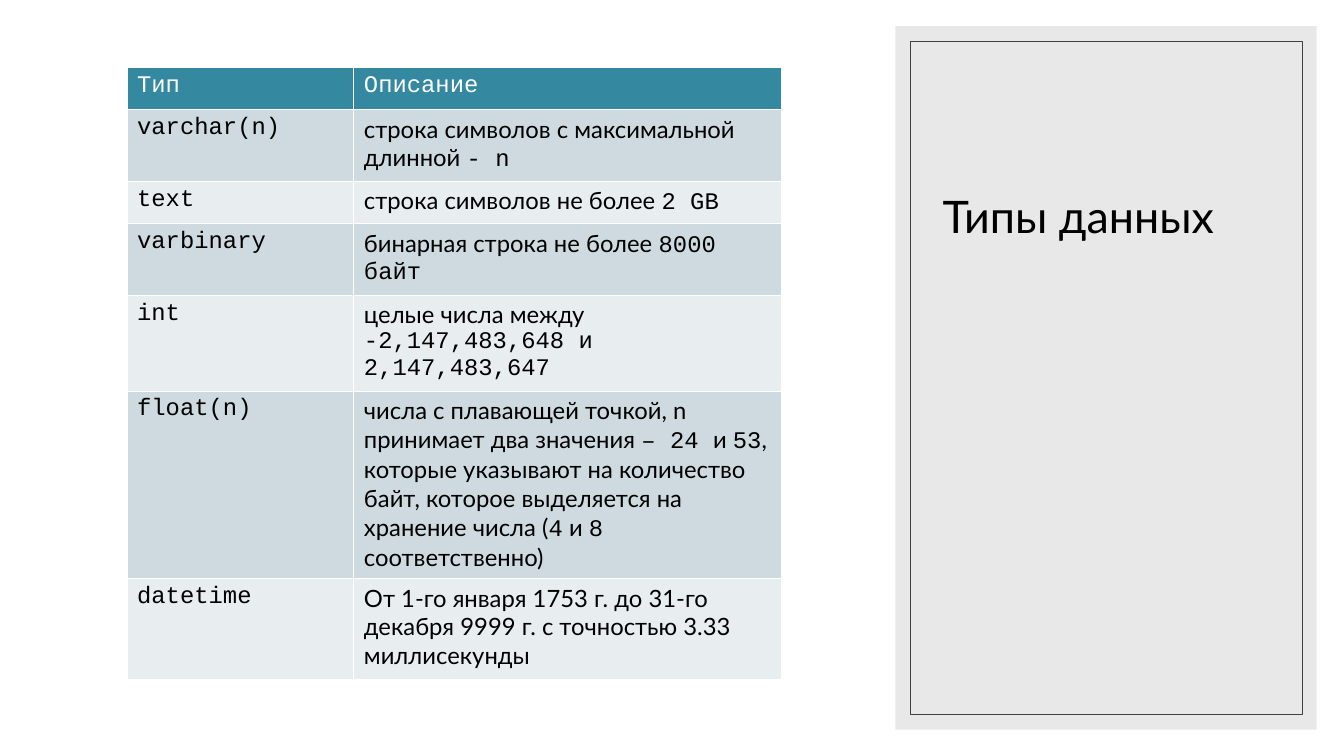
from dataclasses import dataclass

from lxml.etree import SubElement
from pptx import Presentation
from pptx.dml.color import RGBColor
from pptx.enum.shapes import MSO_SHAPE
from pptx.enum.text import MSO_ANCHOR
from pptx.oxml.ns import qn
from pptx.shapes.autoshape import Shape
from pptx.slide import Slide
from pptx.table import _Cell
from pptx.text.text import _Paragraph
from pptx.util import Emu, Pt

EMU_PER_PX = 9144
SANS = "Lato"
MONO = "Courier New"
BLACK = "000000"
WHITE = "FFFFFF"
HEADER_FILL = "3488A0"
BAND_FILLS = ("CEDADF", "E8EDF0")
COLUMN_WIDTHS = (225, 424)


@dataclass(frozen=True)
class Span:
    text: str
    font: str = SANS


@dataclass(frozen=True)
class TypeRow:
    name: str
    description: tuple[tuple[Span, ...], ...]
    height: int


@dataclass(frozen=True)
class Frame:
    left: int
    top: int
    width: int
    height: int


ROWS = (
    TypeRow("Тип", ((Span("Описание", MONO),),), 42),
    TypeRow("varchar(n)", ((Span("строка символов с максимальной длинной "),
                            Span("- n", MONO)),), 71),
    TypeRow("text", ((Span("строка символов не более "), Span("2 GB", MONO)),), 42),
    TypeRow("varbinary", ((Span("бинарная строка не более "),
                           Span("8000 байт", MONO)),), 71),
    TypeRow("int", ((Span("целые числа между"),),
                    (Span("-2,147,483,648 и 2,147,483,647", MONO),)), 71),
    TypeRow("float(n)", ((
        Span("числа с плавающей точкой, n принимает два значения "),
        Span("– 24 ", MONO),
        Span("и "),
        Span("53", MONO),
        Span(", которые указывают на количество байт, "
             "которое выделяется на хранение числа ("),
        Span("4", MONO),
        Span(" и "),
        Span("8", MONO),
        Span(" соответственно)"),
    ),), 186),
    TypeRow("datetime", ((Span("От 1-го января 1753 г. до 31-го декабря 9999 г. "
                               "с точностью 3.33 миллисекунды"),),), 100),
)
PANEL = Frame(888, 26, 418, 698)
PANEL_BORDER = Frame(903, 41, 389, 668)
TITLE = Frame(925, 66, 346, 180)
TABLE = Frame(126, 67, sum(COLUMN_WIDTHS), sum(row.height for row in ROWS))


def px(length: int) -> Emu:
    """Turn pixels into EMU."""
    return Emu(length * EMU_PER_PX)


def color(value: str) -> RGBColor:
    """Turn a hex string into a colour."""
    return RGBColor.from_string(value)


def place(frame: Frame) -> tuple[Emu, Emu, Emu, Emu]:
    """Give the position and size of a frame in EMU."""
    return px(frame.left), px(frame.top), px(frame.width), px(frame.height)


def add_span(para: _Paragraph, span: Span, size: int, ink: str) -> None:
    """Append one formatted run to a paragraph."""
    run = para.add_run()
    run.text = span.text
    run.font.name = span.font
    run.font.size = Pt(size)
    run.font.bold = False
    run.font.color.rgb = color(ink)


def add_rectangle(page: Slide, frame: Frame) -> Shape:
    """Add a rectangle without a shadow."""
    box = page.shapes.add_shape(MSO_SHAPE.RECTANGLE, *place(frame))
    box.shadow.inherit = False
    return box


def add_title_panel(page: Slide) -> None:
    """Draw the side panel with its thin border and title."""
    panel = add_rectangle(page, PANEL)
    panel.fill.solid()
    panel.fill.fore_color.rgb = color("D9D9D9")
    panel.line.fill.background()
    tint = panel.fill._xPr.find(qn("a:solidFill"))[0]
    SubElement(tint, qn("a:alpha"), val="60000")

    border = add_rectangle(page, PANEL_BORDER)
    border.fill.background()
    border.line.color.rgb = color("404040")
    border.line.width = Pt(0.5)

    title = page.shapes.add_textbox(*place(TITLE)).text_frame
    title.word_wrap = True
    title.vertical_anchor = MSO_ANCHOR.BOTTOM
    add_span(title.paragraphs[0], Span("Типы данных"), 32, BLACK)


def fill_cell(cell: _Cell, paragraphs: tuple[tuple[Span, ...], ...],
              fill: str, ink: str) -> None:
    """Colour a cell and write its paragraphs."""
    cell.fill.solid()
    cell.fill.fore_color.rgb = color(fill)
    for index, spans in enumerate(paragraphs):
        frame = cell.text_frame
        para = frame.add_paragraph() if index else frame.paragraphs[0]
        for span in spans:
            add_span(para, span, 17, ink)


def add_type_table(page: Slide) -> None:
    """Draw the table of data types."""
    table = page.shapes.add_table(
        len(ROWS), len(COLUMN_WIDTHS), *place(TABLE)).table
    for column, width in zip(table.columns, COLUMN_WIDTHS):
        column.width = px(width)
    for index, row in enumerate(ROWS):
        table.rows[index].height = px(row.height)
        fill = BAND_FILLS[(index - 1) % 2] if index else HEADER_FILL
        ink = BLACK if index else WHITE
        fill_cell(table.cell(index, 0), ((Span(row.name, MONO),),), fill, ink)
        fill_cell(table.cell(index, 1), row.description, fill, ink)


def main() -> None:
    """Build and save the slide."""
    deck = Presentation()
    deck.slide_width = px(1333)
    deck.slide_height = px(750)
    page = deck.slides.add_slide(deck.slide_layouts[6])
    add_title_panel(page)
    add_type_table(page)
    deck.save("out.pptx")


if __name__ == "__main__":
    main()
